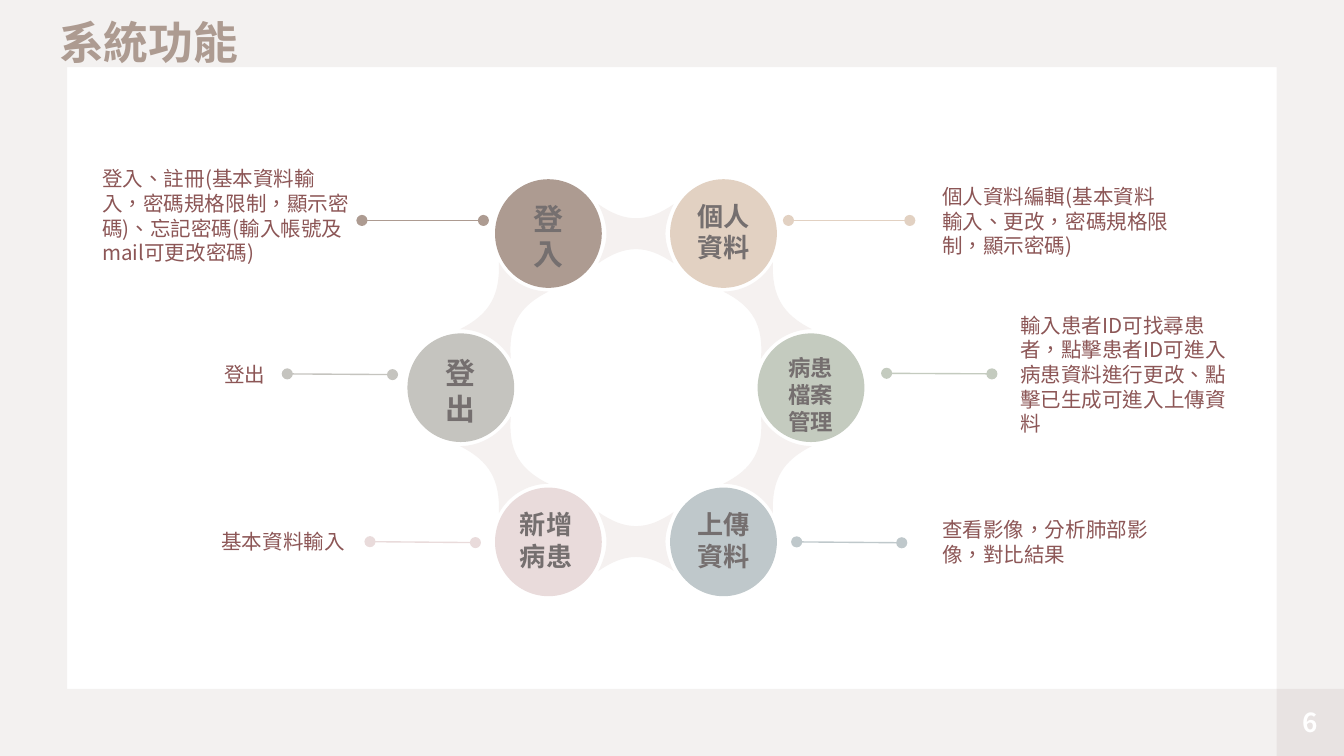
"""Build the system functions slide: a ring of six functions with callouts."""
from dataclasses import dataclass

from lxml import etree
from pptx import Presentation
from pptx.dml.color import RGBColor
from pptx.enum.shapes import MSO_CONNECTOR, MSO_SHAPE
from pptx.enum.text import MSO_ANCHOR, MSO_AUTO_SIZE, PP_ALIGN
from pptx.oxml.ns import qn
from pptx.shapes.autoshape import Shape
from pptx.shapes.shapetree import GroupShapes, SlideShapes
from pptx.text.text import TextFrame
from pptx.util import Pt

STRAIGHT = MSO_CONNECTOR.STRAIGHT
ELLIPSE, FRAME, RECTANGLE = MSO_SHAPE.OVAL, MSO_SHAPE.FRAME, MSO_SHAPE.RECTANGLE
TOP, MIDDLE = MSO_ANCHOR.TOP, MSO_ANCHOR.MIDDLE
LEFT, CENTER = PP_ALIGN.LEFT, PP_ALIGN.CENTER
NO_AUTOFIT = MSO_AUTO_SIZE.NONE

Point = tuple[float, float]
Box = tuple[float, float, float, float]


@dataclass(frozen=True)
class Theme:
    """Colours, font and type sizes of the slide."""

    font: str = "Noto Sans CJK SC"
    language: str = "zh-TW"
    title: str = "AD9B91"
    label: str = "756F6F"
    detail: str = "8C5656"
    bridge: str = "F5F1F0"
    tint: str = "3B1106"
    number: str = "FFFFFF"
    tint_alpha: int = 6000
    title_size: float = 24
    detail_size: float = 11
    number_size: float = 14
    line_width: float = 0.75


@dataclass(frozen=True)
class Function:
    """One system function: its circle, callout line and detail text."""

    label: str
    label_size: float
    colour: str
    column: int
    row: int
    line: Box
    detail: str
    detail_box: Box
    align: PP_ALIGN = CENTER


THEME = Theme()
WIDTH, HEIGHT, CORNER = 720, 405, 36
CENTRE_X, CENTRE_Y = 340.7, 207.7
COLUMN_STEP, ROW_STEP = 46.9, 82.6
CIRCLE_WIDTH, CIRCLE_HEIGHT = 57.2, 58.2

FUNCTIONS = [
    Function("個人資料", 14, "E2D1C2", 1, -1, (422.4, 118.1, 487.4, 118.1),
             "個人資料編輯(基本資料輸入、更改，密碼規格限制，顯示密碼)",
             (504.7, 93.6, 124.6, 49.7)),
    Function("登入", 16, "AD9B91", -1, -1, (193.9, 118.1, 259, 118.1),
             "登入、註冊(基本資料輸入，密碼規格限制，顯示密碼)、忘記密碼(輸入帳號及mail可更改密碼)",
             (54.7, 79.2, 133.9, 72.7)),
    Function("上傳資料", 14, "BFC8CB", 1, 1, (426.8, 290.3, 483.1, 290.8),
             "查看影像，分析肺部影像，對比結果", (504.7, 269.3, 118.1, 41.8)),
    Function("病患檔案管理", 12, "C4CBBF", 2, 0, (475, 200, 531.4, 200.3),
             "輸入患者ID可找尋患者，點擊患者ID可進入病患資料進行更改、點擊已生成可進入上傳資料",
             (546.5, 175.7, 118.1, 49.7)),
    Function("登出", 16, "C5C4BF", -2, 0, (153.9, 200.3, 210.3, 200.7),
             "登出", (120.2, 187.5, 27.4, 25.9)),
    Function("新增病患", 14, "E9DBDB", -1, 1, (198.2, 290.2, 254.7, 290.7),
             "基本資料輸入", (118.6, 277.2, 70.6, 25.9), LEFT),
]

DIAGONAL_BRIDGE = [
    (-46.8, -51.5),
    (-58.3, -51.5), (-68.4, -58), (-73.4, -67.3),
    (-72.7, -49.3), (-78.5, -39.2), (-94.3, -31.3),
    (-82.8, -31.3), (-72.7, -24.8), (-67, -15.5),
    (-68.4, -33.5), (-62.6, -43.6), (-46.8, -51.5),
]
LEVEL_BRIDGE = [
    (15.8, -82.4),
    (15.8, -88.2), (18, -93.9), (20.2, -98.3),
    (5.8, -88.2), (-5.8, -88.2), (-20.2, -98.3),
    (-18, -93.9), (-15.8, -88.2), (-15.8, -82.4),
    (-15.8, -76.7), (-18, -71.6), (-20.2, -66.6),
    (-5.8, -76.7), (5.8, -76.7), (20.2, -66.6),
    (18, -71.6), (15.8, -76.7), (15.8, -82.4),
]


def write(frame: TextFrame, text: str, size: float, colour: str, bold: bool,
          align: PP_ALIGN, anchor: MSO_ANCHOR) -> None:
    """Fill a text frame with one formatted paragraph."""
    frame.text = text
    frame.word_wrap = True
    frame.auto_size = NO_AUTOFIT
    frame.vertical_anchor = anchor
    paragraph = frame.paragraphs[0]
    paragraph.alignment = align
    font = paragraph.font
    font.size, font.bold, font.name = Pt(size), bold, THEME.font
    font.color.rgb = RGBColor.from_string(colour)
    defaults = frame._txBody.find(".//" + qn("a:defRPr"))
    defaults.set("lang", THEME.language)
    defaults.getparent().set("hangingPunct", "0")
    etree.SubElement(defaults, qn("a:ea"), typeface=THEME.font)


def set_margins(frame: TextFrame, side: float, end: float) -> None:
    """Set the horizontal and vertical insets of a text frame."""
    frame.margin_left = frame.margin_right = Pt(side)
    frame.margin_top = frame.margin_bottom = Pt(end)


def paint(shape: Shape, colour: str) -> None:
    """Give a shape a plain fill without outline or shadow."""
    shape.shadow.inherit = False
    shape.fill.solid()
    shape.fill.fore_color.rgb = RGBColor.from_string(colour)
    shape.line.fill.background()


def add_tinted(shapes: SlideShapes, kind: MSO_SHAPE, box: Box) -> Shape:
    """Add a translucent shape of the slide border."""
    shape = shapes.add_shape(kind, *map(Pt, box))
    paint(shape, THEME.tint)
    tint = shape.element.spPr.find(".//" + qn("a:srgbClr"))
    etree.SubElement(tint, qn("a:alpha"), val=str(THEME.tint_alpha))
    return shape


def add_circle(shapes: GroupShapes, function: Function) -> None:
    """Add the labelled circle of a function to the ring."""
    left = CENTRE_X + function.column * COLUMN_STEP - CIRCLE_WIDTH / 2
    top = CENTRE_Y + function.row * ROW_STEP - CIRCLE_HEIGHT / 2
    circle = shapes.add_shape(ELLIPSE, Pt(left), Pt(top), Pt(CIRCLE_WIDTH), Pt(CIRCLE_HEIGHT))
    paint(circle, function.colour)
    set_margins(circle.text_frame, 5, 2.8)
    write(circle.text_frame, function.label, function.label_size, THEME.label,
          True, function.align, TOP)


def add_bridge(shapes: GroupShapes, nodes: list[Point], flip_x: int, flip_y: int) -> None:
    """Add a curved bridge between two circles, mirrored about the ring centre."""
    outline = [(Pt(CENTRE_X + flip_x * x), Pt(CENTRE_Y + flip_y * y)) for x, y in nodes]
    builder = shapes.build_freeform(*outline[0])
    builder.add_line_segments(outline[1:], close=True)
    bridge = builder.convert_to_shape()
    paint(bridge, THEME.bridge)
    segments = list(bridge.element.spPr.iter(qn("a:lnTo")))
    for first in range(0, len(segments), 3):
        curve = etree.Element(qn("a:cubicBezTo"))
        segments[first].addprevious(curve)
        for segment in segments[first:first + 3]:
            curve.append(segment[0])
            segment.getparent().remove(segment)


def add_callout(shapes: SlideShapes, function: Function) -> None:
    """Add the dotted-end line and the detail text of a function."""
    connector = shapes.add_connector(STRAIGHT, *map(Pt, function.line))
    connector.line.color.rgb = RGBColor.from_string(function.colour)
    connector.line.width = Pt(THEME.line_width)
    outline = connector.element.spPr.find(qn("a:ln"))
    for end in ("a:headEnd", "a:tailEnd"):
        etree.SubElement(outline, qn(end), type="oval")
    etree.SubElement(connector.element.spPr, qn("a:effectLst"))
    detail = shapes.add_textbox(*map(Pt, function.detail_box))
    set_margins(detail.text_frame, 0, 0)
    write(detail.text_frame, function.detail, THEME.detail_size, THEME.detail,
          False, LEFT, MIDDLE)


def main() -> None:
    """Build and save the slide."""
    deck = Presentation()
    deck.slide_width, deck.slide_height = Pt(WIDTH), Pt(HEIGHT)
    shapes = deck.slides.add_slide(deck.slide_layouts[5]).shapes

    border = add_tinted(shapes, FRAME, (0, 0, WIDTH, HEIGHT))
    border.adjustments[0] = CORNER / HEIGHT
    corner = add_tinted(shapes, RECTANGLE, (WIDTH - CORNER, HEIGHT - CORNER, CORNER, CORNER))
    write(corner.text_frame, "6", THEME.number_size, THEME.number, True, CENTER, MIDDLE)

    ring = shapes.add_group_shape().shapes
    for function in FUNCTIONS:
        add_circle(ring, function)
    for flip_y in (1, -1):
        add_bridge(ring, LEVEL_BRIDGE, 1, flip_y)
        for flip_x in (1, -1):
            add_bridge(ring, DIAGONAL_BRIDGE, flip_x, flip_y)
    for function in FUNCTIONS:
        add_callout(shapes, function)

    title = shapes.title
    title.left, title.top, title.width, title.height = map(Pt, (24.5, 4.3, 393.8, 36))
    write(title.text_frame, "系統功能", THEME.title_size, THEME.title, True, LEFT, MIDDLE)
    shapes.element.append(title.element)
    deck.save("out.pptx")


if __name__ == "__main__":
    main()
